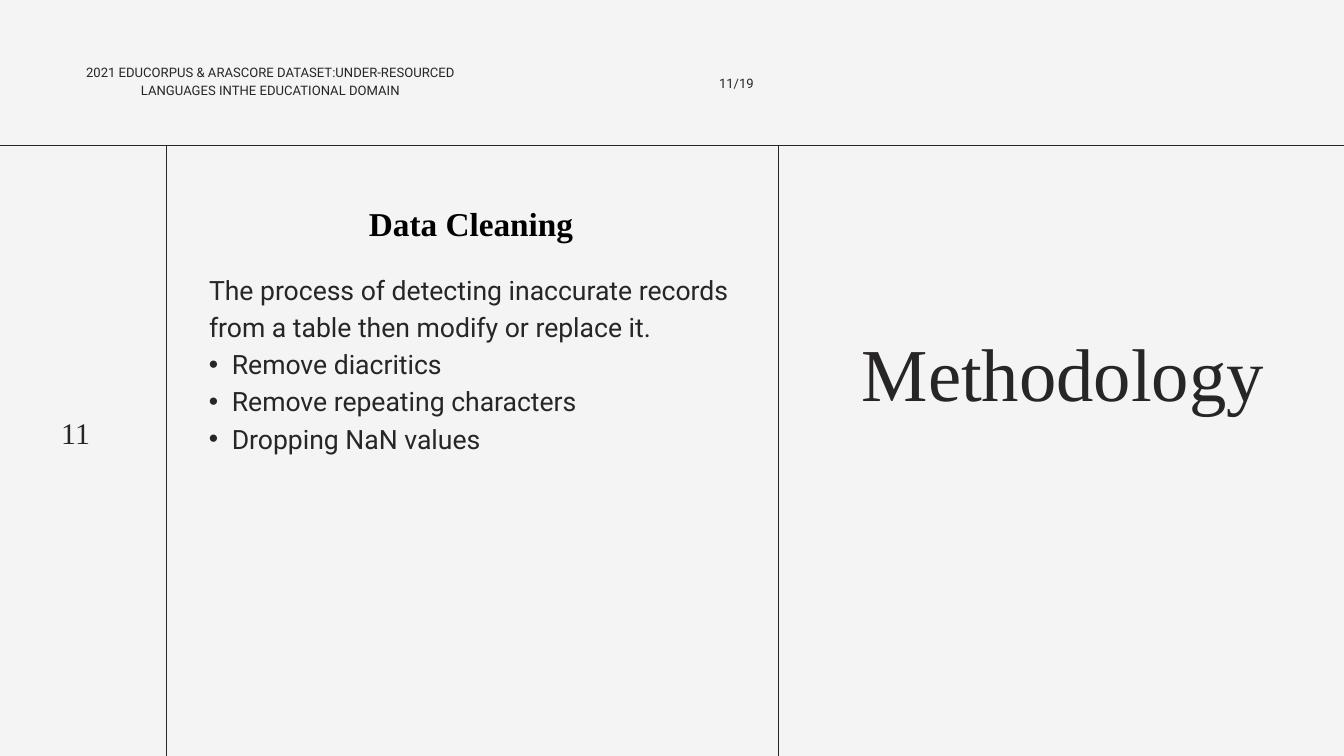
from lxml import etree
from pptx import Presentation, util as u
from pptx.dml.color import RGBColor
from pptx.enum import shapes, text
from pptx.oxml.ns import qn

COLORS = {"paper": "F4F4F4", "ink": "272525", "black": "000000"}
SERIF, SANS = "Times New Roman", "Roboto"
COLUMNS, ROWS = 20, 11.25
HEADER_ROW = 2.16
MARGIN_COLUMN, TITLE_COLUMN = 2.47, 11.58
TEXT_COLUMN, TEXT_WIDTH = 2.77, 8.48
HANG = u.Inches(0.34)


class SlideBuilder:
    """Holds the style and the current slide; places are (column, row, width, height)."""

    def __init__(self, deck):
        self.column = deck.slide_width / COLUMNS
        self.row = deck.slide_height / ROWS
        self.page = deck.slides.add_slide(deck.slide_layouts[1])
        fill = self.page.background.fill
        fill.solid()
        fill.fore_color.rgb = RGBColor.from_string(COLORS["paper"])

    def scale(self, *numbers):
        """Turn alternating columns and rows into lengths."""
        return [u.Emu(round(number * unit))
                for number, unit in zip(numbers, [self.column, self.row] * 2)]

    def rule(self, *ends):
        line = self.page.shapes.add_connector(shapes.MSO_CONNECTOR.STRAIGHT, *self.scale(*ends))
        line.line.width = u.Pt(0.75)
        line.line.color.rgb = RGBColor.from_string(COLORS["ink"])
        etree.SubElement(line._element.spPr, qn("a:effectLst"))

    def set_text(self, box, place, lines, size, leading, font=SERIF, color="ink",
                 bold=False, align=text.PP_ALIGN.CENTER):
        for name, length in zip(("left", "top", "width", "height"), self.scale(*place)):
            setattr(box, name, length)
        frame = box.text_frame
        frame_format = {"margin_left": 0, "margin_top": 0, "margin_right": 0, "margin_bottom": 0,
                        "word_wrap": True, "auto_size": text.MSO_AUTO_SIZE.NONE,
                        "vertical_anchor": text.MSO_ANCHOR.TOP}
        for name, value in frame_format.items():
            setattr(frame, name, value)
        frame.text = "\n".join(lines)
        para_format = {"alignment": align, "line_spacing": u.Pt(leading),
                       "space_before": u.Pt(0), "space_after": u.Pt(0)}
        font_format = {"name": font, "size": u.Pt(size), "bold": bold}
        for para in frame.paragraphs:
            for name, value in para_format.items():
                setattr(para, name, value)
            for span in para.runs:
                for name, value in font_format.items():
                    setattr(span.font, name, value)
                span.font.color.rgb = RGBColor.from_string(COLORS[color])

    def label(self, place, line, **style):
        self.set_text(self.page.shapes.add_textbox(0, 0, 0, 0), place, [line], **style)

    def title(self, place, line, **style):
        self.set_text(self.page.shapes.title, place, [line], **style)

    def bullet_list(self, place, intro, items, **style):
        """Fill the body placeholder with a plain opening line and bulleted items."""
        body = self.page.placeholders[1]
        self.set_text(body, place, [intro, *items], align=text.PP_ALIGN.LEFT, **style)
        for index, para in enumerate(body.text_frame.paragraphs):
            props = para._p.get_or_add_pPr()
            props.set("marL", str(2 * HANG if index else HANG))
            props.set("indent", str(-HANG if index else 0))
            if index:
                etree.SubElement(props, qn("a:buChar"), char="•")
            else:
                etree.SubElement(props, qn("a:buNone"))


def main():
    deck = Presentation()
    deck.slide_width, deck.slide_height = u.Inches(20), u.Inches(11.25)
    slide = SlideBuilder(deck)

    slide.rule(0, HEADER_ROW, COLUMNS, HEADER_ROW)
    for column in (MARGIN_COLUMN, TITLE_COLUMN):
        slide.rule(column, HEADER_ROW, column, ROWS)

    slide.title((11.92, 4.75, 7.8, 1.42), "Methodology", size=80, leading=104)
    slide.label((TEXT_COLUMN, 3.03, TEXT_WIDTH, 0.59), "Data Cleaning",
                size=35.7, leading=42.9, color="black", bold=True)
    slide.bullet_list(
        (TEXT_COLUMN, 3.99, TEXT_WIDTH, 3.33),
        "The process of detecting inaccurate records from a table then modify or replace it.",
        ["Remove diacritics", "Remove repeating characters", "Dropping NaN values"],
        size=28.5, leading=39.9, font=SANS)

    small = {"size": 14, "leading": 19.6, "font": SANS}
    slide.label((1.26, 0.92, 5.53, 0.53),
                "2021 EDUCORPUS & ARASCORE DATASET:UNDER-RESOURCED "
                "LANGUAGES INTHE EDUCATIONAL DOMAIN", **small)
    slide.label((10.7, 1.08, 3.7, 0.26), "11/19", align=text.PP_ALIGN.LEFT, **small)
    slide.label((0.73, 6.17, 0.79, 0.53), "11", size=32, leading=38.4)

    deck.save("out.pptx")


if __name__ == "__main__":
    main()
